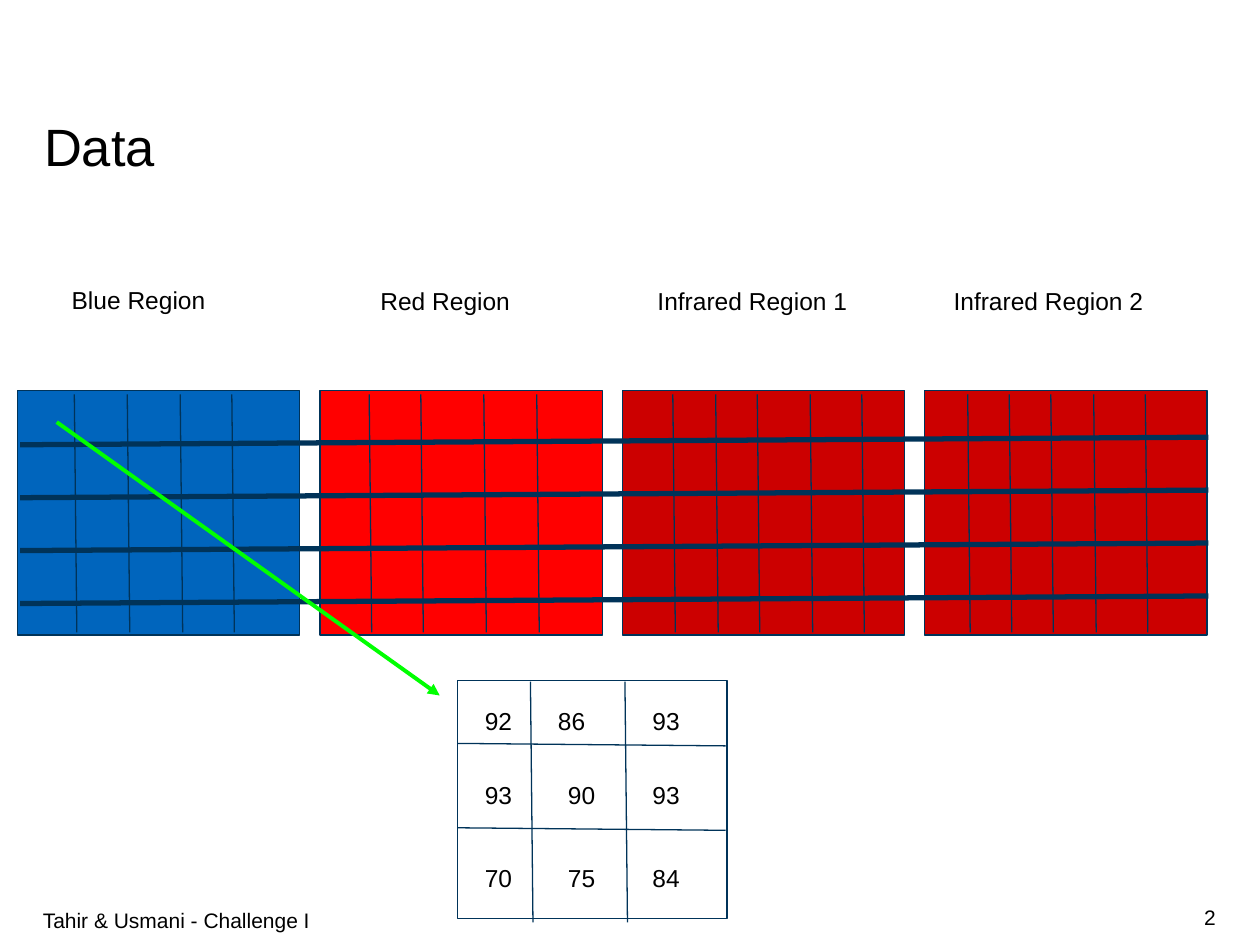
from lxml import etree
from pptx import Presentation
from pptx.dml.color import RGBColor
from pptx.enum.shapes import MSO_CONNECTOR, MSO_SHAPE
from pptx.enum.text import MSO_ANCHOR, PP_ALIGN
from pptx.oxml.ns import qn
from pptx.util import Emu, Pt

STRAIGHT = MSO_CONNECTOR.STRAIGHT
RECTANGLE = MSO_SHAPE.RECTANGLE
TOP, MIDDLE = MSO_ANCHOR.TOP, MSO_ANCHOR.MIDDLE
LEFT, RIGHT = PP_ALIGN.LEFT, PP_ALIGN.RIGHT

PX_PER_INCH = 100
SCALE = 914400 // PX_PER_INCH
FONT = "Arial"
COLORS = {
    "text": "000000",
    "navy": "003359",
    "blue": "0065BD",
    "red": "FF0000",
    "infrared": "CC0000",
    "arrow": "00FF00",
}

TITLE = "Data"
FOOTER = "Tahir & Usmani - Challenge I"
PAGE_NUMBER = "2"
REGIONS = [
    ("Blue Region", "blue", (47, 216, 138), (59, 101, 143, 184)),
    ("Red Region", "red", (292, 217, 138), (293, 334, 384, 426)),
    ("Infrared Region 1", "infrared", (512, 217, 196), (534, 568, 601, 643, 684)),
    ("Infrared Region 2", "infrared", (747, 217, 196), (768, 801, 834, 868, 909)),
]
PIXEL_ROWS = [
    (550, [(375, "92"), (433, "86"), (508, "93")]),
    (609, [(375, "93"), (441, "90"), (508, "93")]),
    (675, [(375, "70"), (441, "75"), (508, "84")]),
]

REGION_LEFT, REGION_TOP, REGION_STEP = 14, 310, 240
REGION_WIDTH, REGION_HEIGHT = 224, 194
ROW_LINE_TOP, ROW_LINE_STEP, ROW_LINE_COUNT = 353, 42, 4
DETAIL_BOX = (363, 540, 214, 189)
DETAIL_ROW_LINES = (590, 657)
DETAIL_COLUMN_LINES = (421, 496)


def px(value):
    return Emu(value * SCALE)


def color(name):
    return RGBColor.from_string(COLORS[name])


def write(shape, text, size, insets, anchor=TOP, align=LEFT, spacing=1.0):
    frame = shape.text_frame
    frame.word_wrap = True
    frame.vertical_anchor = anchor
    frame.margin_left = frame.margin_right = px(insets[0])
    frame.margin_top = frame.margin_bottom = px(insets[1])
    frame.text = text
    paragraph = frame.paragraphs[0]
    paragraph.alignment = align
    paragraph.line_spacing = spacing
    font = paragraph.runs[0].font
    font.name, font.size = FONT, Pt(size)
    font.color.rgb = color("text")


def add_text(slide, box, text, size=14, insets=(10, 10), **options):
    shape = slide.shapes.add_textbox(*map(px, box))
    write(shape, text, size, insets, **options)


def add_rectangle(slide, box, fill=None):
    shape = slide.shapes.add_shape(RECTANGLE, *map(px, box))
    shape.shadow.inherit = False
    if fill:
        shape.fill.solid()
        shape.fill.fore_color.rgb = color(fill)
    else:
        shape.fill.background()
    shape.line.color.rgb = color("navy")
    shape.line.width = Pt(0.75)


def add_line(slide, points, line_color="navy", width=0.75):
    connector = slide.shapes.add_connector(STRAIGHT, *map(px, points))
    connector.line.color.rgb = color(line_color)
    connector.line.width = Pt(width)
    etree.SubElement(connector._element.spPr, qn("a:effectLst"))
    return connector


def add_regions(slide):
    for index, (_, fill, _, _) in enumerate(REGIONS):
        left = REGION_LEFT + index * REGION_STEP
        add_rectangle(slide, (left, REGION_TOP, REGION_WIDTH, REGION_HEIGHT), fill)
    for index in range(ROW_LINE_COUNT):
        y = ROW_LINE_TOP + index * ROW_LINE_STEP
        add_line(slide, (16, y, 959, y - 6), width=3)
    for label, _, (left, top, width), columns in REGIONS:
        for x in columns:
            add_line(slide, (x, 313, x + 2, 502))
        add_text(slide, (left, top, width, 61), label)


def add_detail(slide):
    arrow = add_line(slide, (45, 335, 349, 552), "arrow", 2.25)
    etree.SubElement(arrow.line._get_or_add_ln(), qn("a:tailEnd"), type="triangle")
    for y in DETAIL_ROW_LINES:
        add_line(slide, (363, y, 576, y + 2))
    for x in DETAIL_COLUMN_LINES:
        add_line(slide, (x, 541, x + 2, 732))
    add_rectangle(slide, DETAIL_BOX)
    for top, values in PIXEL_ROWS:
        for left, value in values:
            add_text(slide, (left, top, 43, 27), value)


def main():
    presentation = Presentation()
    presentation.slide_width, presentation.slide_height = px(1000), px(750)
    slide = presentation.slides.add_slide(presentation.slide_layouts[5])

    title = slide.shapes.title
    title.left, title.top, title.width, title.height = map(px, (35, 87, 931, 45))
    write(title, TITLE, 30, (0, 0), spacing=1.07)

    add_text(slide, (741, 708, 224, 40), PAGE_NUMBER, 12, (0, 5),
             anchor=MIDDLE, align=RIGHT)
    add_text(slide, (34, 708, 707, 40), FOOTER, 12, (0, 5),
             anchor=MIDDLE, spacing=1.2)
    add_regions(slide)
    add_detail(slide)
    presentation.save("out.pptx")


if __name__ == "__main__":
    main()
